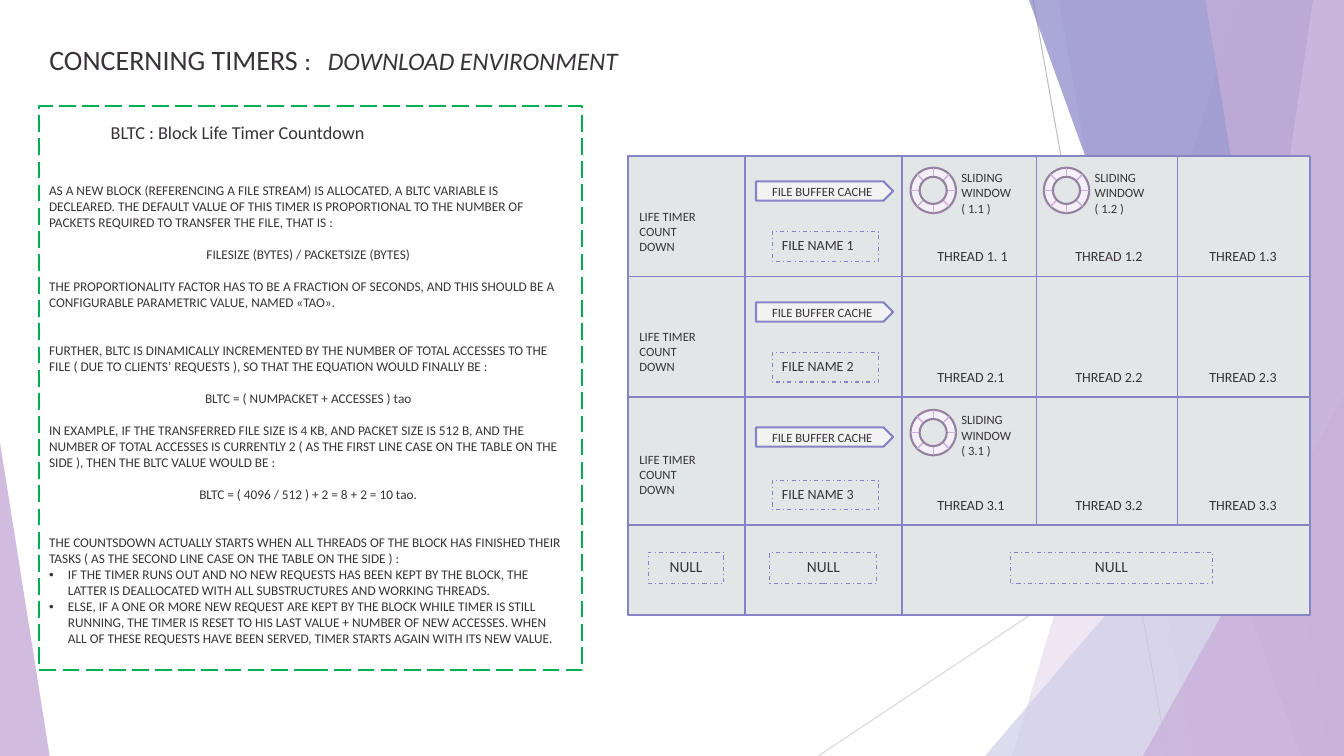
"""Builds a slide on block life timers: explanation on the left, thread grid on the right."""
from math import cos, pi, sin

from lxml import etree
from pptx import Presentation
from pptx.dml.color import RGBColor
from pptx.enum.dml import MSO_LINE
from pptx.enum.shapes import MSO_CONNECTOR, MSO_SHAPE
from pptx.enum.text import MSO_ANCHOR, MSO_AUTO_SIZE, PP_ALIGN
from pptx.oxml.ns import qn
from pptx.util import Pt

STRAIGHT = MSO_CONNECTOR.STRAIGHT
RECTANGLE, TRIANGLE = MSO_SHAPE.RECTANGLE, MSO_SHAPE.ISOSCELES_TRIANGLE
PENTAGON, CIRCLE = MSO_SHAPE.PENTAGON, MSO_SHAPE.FLOWCHART_CONNECTOR
DASH_DOT, LONG_DASH = MSO_LINE.DASH_DOT, MSO_LINE.LONG_DASH
TOP, MIDDLE = MSO_ANCHOR.TOP, MSO_ANCHOR.MIDDLE
LEFT, CENTER = PP_ALIGN.LEFT, PP_ALIGN.CENTER

WIDTH, HEIGHT = 960, 540
FONT = "Calibri"
COLORS = {
    "text": "393339", "grid": "E2E6E6", "line": "8684C6", "cache": "F2F2F2",
    "ring": "F4EFF8", "rim": "9582A1", "spoke": "CAB0DA", "frame": "00B050",
    "lilac": "CAB0DA", "pale lilac": "DFD0E9", "blue": "8684C6", "pale blue": "D0CFE9",
    "gray": "BFBFBF", "pale gray": "D9D9D9",
}

DECOR_LINES = [((738, 0), (834, HEIGHT), "gray"), ((WIDTH, 290), (584.5, HEIGHT), "pale gray")]
DECOR = [
    ("band", 884, 723, "lilac", 30),
    ("band", 756, 852, "lilac", 20),
    ("triangle", (703.5, 240, 256.5, 300), 1, "pale blue", 72),
    ("band", 735, 929.5, "blue", 70),
    ("band", 938, 858, "pale lilac", 70),
    ("band", 861, 949, "lilac", 65),
    ("triangle", (816.5, 283, 143.5, 257), 1, "lilac", 80),
    ("triangle", (0, 316, 35.5, 224), 0, "lilac", 85),
]

TITLE = [("CONCERNING TIMERS ", 20, False), (":\t", 18, False), ("DOWNLOAD ENVIRONMENT", 18, True)]
HEADING = "BLTC : Block Life Timer Countdown"
BODY_LINE = 11.5
BODY = [
    ("plain", 0, "AS A NEW BLOCK (REFERENCING A FILE STREAM) IS ALLOCATED, A BLTC VARIABLE IS DECLEARED. "
     "THE DEFAULT VALUE OF THIS TIMER IS PROPORTIONAL TO THE NUMBER OF PACKETS REQUIRED "
     "TO TRANSFER THE FILE, THAT IS :"),
    ("formula", 1, "FILESIZE (BYTES) / PACKETSIZE (BYTES)"),
    ("plain", 1, "THE PROPORTIONALITY FACTOR HAS TO BE A FRACTION OF SECONDS, AND THIS SHOULD BE A "
     "CONFIGURABLE PARAMETRIC VALUE, NAMED «TAO»."),
    ("plain", 2, "FURTHER, BLTC IS DINAMICALLY INCREMENTED BY THE NUMBER OF TOTAL ACCESSES TO THE "
     "FILE ( DUE TO CLIENTS’ REQUESTS ), SO THAT THE EQUATION WOULD FINALLY BE :"),
    ("formula", 1, "BLTC = ( NUMPACKET + ACCESSES ) tao"),
    ("plain", 1, "IN EXAMPLE, IF THE TRANSFERRED FILE SIZE IS 4 KB, AND PACKET SIZE IS 512 B, AND THE "
     "NUMBER OF TOTAL ACCESSES IS CURRENTLY 2 ( AS THE FIRST LINE CASE ON THE TABLE ON THE "
     "SIDE ), THEN THE BLTC VALUE WOULD BE :"),
    ("formula", 1, "BLTC = ( 4096 / 512 ) + 2 = 8 + 2 = 10 tao."),
    ("plain", 2, "THE COUNTSDOWN ACTUALLY STARTS WHEN ALL THREADS OF THE BLOCK HAS FINISHED THEIR "
     "TASKS ( AS THE SECOND LINE CASE ON THE TABLE ON THE SIDE ) :"),
    ("bullet", 0, "IF THE TIMER RUNS OUT AND NO NEW REQUESTS HAS BEEN KEPT BY THE BLOCK, THE "
     "LATTER IS DEALLOCATED WITH ALL SUBSTRUCTURES AND WORKING THREADS."),
    ("bullet", 0, "ELSE, IF A ONE OR MORE NEW REQUEST ARE KEPT BY THE BLOCK WHILE TIMER IS STILL "
     "RUNNING, THE TIMER IS RESET TO HIS LAST VALUE + NUMBER OF NEW ACCESSES. WHEN "
     "ALL OF THESE REQUESTS HAVE BEEN SERVED, TIMER STARTS AGAIN WITH ITS NEW VALUE."),
]

GRID_LEFT, GRID_TOP, GRID_RIGHT, GRID_BOTTOM = 448.5, 111.6, 936, 439.2
ROWS = [
    {"bottom": 197.3, "cache": 129.6, "label": 145.4, "threads": ["THREAD 1. 1", "THREAD 1.2", "THREAD 1.3"]},
    {"bottom": 283.7, "cache": 216, "label": 231.1, "threads": ["THREAD 2.1", "THREAD 2.2", "THREAD 2.3"]},
    {"bottom": 375.1, "cache": 305.3, "label": 319, "threads": ["THREAD 3.1", "THREAD 3.2", "THREAD 3.3"]},
]
COLUMN_LINES = [(532.1, GRID_BOTTOM), (644.4, GRID_BOTTOM), (740.2, 375.1), (841, 375.1)]
THREAD_LEFTS = [662.4, 761, 856.8]
WINDOWS = [("( 1.1 )", 666.6, 136), ("( 1.2 )", 761.8, 136), ("( 3.1 )", 666.6, 309)]
NULL_BOXES = [(463, 54), (550, 76.3), (721.5, 144.7)]
RING, HOLE = 32.4, 19.4


def color(name):
    return RGBColor.from_string(COLORS[name])


def write(paragraph, text, size=9, italic=False, align=LEFT):
    paragraph.alignment = align
    run = paragraph.add_run()
    run.text = text
    run.font.name, run.font.size, run.font.italic = FONT, Pt(size), italic
    run.font.bold = False
    run.font.color.rgb = color("text")


def add_label(slide, text, left, top, width, height, **style):
    frame = slide.shapes.add_textbox(Pt(left), Pt(top), Pt(width), Pt(height)).text_frame
    frame.word_wrap = True
    write(frame.paragraphs[0], text, **style)


def paint(shape, fill=None, line=None, weight=1.5, dash=None, opacity=None):
    shape.shadow.inherit = False
    if fill:
        shape.fill.solid()
        shape.fill.fore_color.rgb = color(fill)
    else:
        shape.fill.background()
    if opacity:
        solid = shape.element.spPr.find(qn("a:solidFill"))
        etree.SubElement(solid[0], qn("a:alpha"), val=str(opacity * 1000))
    if line:
        shape.line.color.rgb = color(line)
        shape.line.width = Pt(weight)
        if dash:
            shape.line.dash_style = dash
    else:
        shape.line.fill.background()


def add_box(slide, kind, left, top, width, height, text=None, anchor=TOP, size=9, align=CENTER, **look):
    shape = slide.shapes.add_shape(kind, Pt(left), Pt(top), Pt(width), Pt(height))
    paint(shape, **look)
    if text:
        shape.text_frame.vertical_anchor = anchor
        shape.text_frame.word_wrap = True
        write(shape.text_frame.paragraphs[0], text, size=size, align=align)
    return shape


def add_line(slide, start, end, name, weight=1):
    line = slide.shapes.add_connector(STRAIGHT, *(Pt(value) for value in (*start, *end)))
    line.line.color.rgb = color(name)
    line.line.width = Pt(weight)
    etree.SubElement(line.element.spPr, qn("a:effectLst"))


def add_decor(slide):
    for start, end, name in DECOR_LINES:
        add_line(slide, start, end, name, 0.75)
    for kind, place, detail, fill, opacity in DECOR:
        if kind == "band":
            builder = slide.shapes.build_freeform(Pt(place), 0)
            corners = [(WIDTH, 0), (WIDTH, HEIGHT), (detail, HEIGHT)]
            builder.add_line_segments([(Pt(x), Pt(y)) for x, y in corners])
            paint(builder.convert_to_shape(), fill, opacity=opacity)
        else:
            add_box(slide, TRIANGLE, *place, fill=fill, opacity=opacity).adjustments[0] = detail


def add_title(slide):
    title = slide.shapes.title
    title.left, title.top, title.width, title.height = Pt(28), Pt(26.6), Pt(452), Pt(31.7)
    frame = title.text_frame
    frame.auto_size, frame.vertical_anchor = MSO_AUTO_SIZE.NONE, TOP
    paragraph = frame.paragraphs[0]
    tabs = etree.SubElement(paragraph._p.get_or_add_pPr(), qn("a:tabLst"))
    etree.SubElement(tabs, qn("a:tab"), pos=str(Pt(199)), algn="l")
    for text, size, italic in TITLE:
        write(paragraph, text, size=size, italic=italic)


def add_explanation(slide):
    add_label(slide, HEADING, 72, 82.8, 199, 23, size=13)
    frame = slide.shapes.add_textbox(Pt(28), Pt(126.7), Pt(384.5), Pt(353)).text_frame
    frame.word_wrap = True
    for index, (kind, gap, text) in enumerate(BODY):
        paragraph = frame.add_paragraph() if index else frame.paragraphs[0]
        if kind == "bullet":
            properties = paragraph._p.get_or_add_pPr()
            properties.set("marL", str(Pt(13.5)))
            properties.set("indent", str(-Pt(13.5)))
            etree.SubElement(properties, qn("a:buFont"), typeface="Arial")
            etree.SubElement(properties, qn("a:buChar"), char="•")
        if gap:
            paragraph.space_before = Pt(gap * BODY_LINE)
        write(paragraph, text, size=9.5, align=CENTER if kind == "formula" else LEFT)
    add_box(slide, RECTANGLE, 28, 75.6, 388, 403.2, line="frame", dash=LONG_DASH)


def add_window(slide, number, x, y):
    add_box(slide, CIRCLE, x - RING / 2, y - RING / 2, RING, RING, fill="ring", line="rim")
    for step in range(4):
        dx, dy = RING / 2 * cos(step * pi / 4), RING / 2 * sin(step * pi / 4)
        add_line(slide, (x - dx, y - dy), (x + dx, y + dy), "spoke")
    add_box(slide, CIRCLE, x - HOLE / 2, y - HOLE / 2, HOLE, HOLE, fill="grid", line="rim")
    add_label(slide, f"SLIDING WINDOW {number}", x + 13, y - 18, 51, 40.3)


def add_grid(slide):
    dashed = {"line": "line", "weight": 0.75, "dash": DASH_DOT}
    add_box(slide, RECTANGLE, GRID_LEFT, GRID_TOP, GRID_RIGHT - GRID_LEFT, GRID_BOTTOM - GRID_TOP,
            fill="grid", line="line")
    for x, bottom in COLUMN_LINES:
        add_line(slide, (x, GRID_TOP), (x, bottom), "line")
    for number, row in enumerate(ROWS, 1):
        bottom = row["bottom"]
        add_line(slide, (GRID_LEFT, bottom), (GRID_RIGHT, bottom), "line")
        add_label(slide, "LIFE TIMER COUNT DOWN", 449.7, row["label"], 62.6, 44)
        add_box(slide, PENTAGON, 540, row["cache"], 98, 13.7, "FILE BUFFER CACHE", MIDDLE,
                fill="cache", line="line")
        add_box(slide, RECTANGLE, 551.5, bottom - 31.7, 76.3, 20.9, f"FILE NAME {number}",
                size=10, align=LEFT, **dashed)
        for left, thread in zip(THREAD_LEFTS, row["threads"]):
            add_label(slide, thread, left, bottom - 24, 70, 19.4, size=10)
    for left, width in NULL_BOXES:
        add_box(slide, RECTANGLE, left, 394.6, width, 22.3, "NULL", size=11, **dashed)
    for window in WINDOWS:
        add_window(slide, *window)


def main():
    presentation = Presentation()
    presentation.slide_width, presentation.slide_height = Pt(WIDTH), Pt(HEIGHT)
    slide = presentation.slides.add_slide(presentation.slide_layouts[5])
    add_decor(slide)
    add_title(slide)
    add_grid(slide)
    add_explanation(slide)
    presentation.save("out.pptx")


if __name__ == "__main__":
    main()
